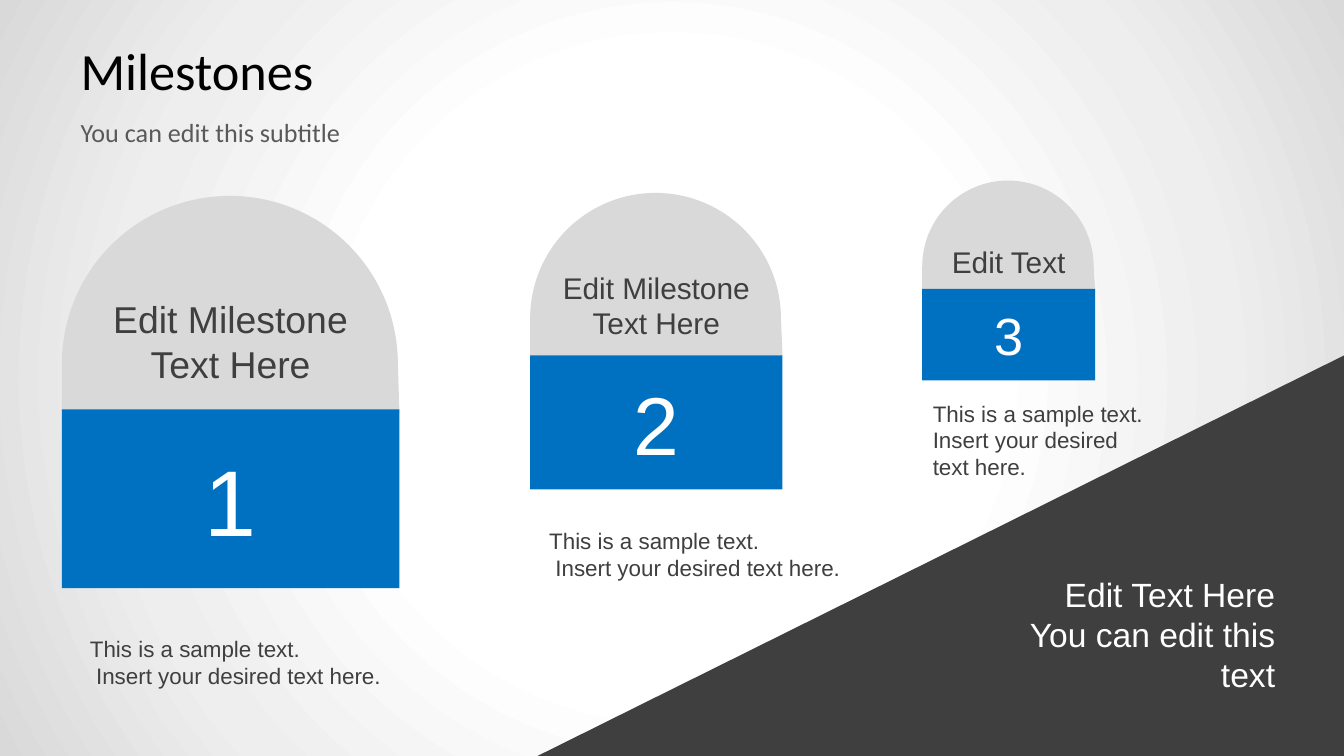
from dataclasses import dataclass
from math import cos, pi, sin, tan

from pptx import Presentation
from pptx.dml.color import RGBColor
from pptx.enum.shapes import MSO_SHAPE
from pptx.enum.text import MSO_ANCHOR, MSO_AUTO_SIZE, PP_ALIGN
from pptx.oxml import parse_xml
from pptx.oxml.ns import nsdecls, qn
from pptx.shapes.autoshape import Shape
from pptx.shapes.shapetree import GroupShapes, SlideShapes
from pptx.slide import Slide
from pptx.text.text import TextFrame
from pptx.util import Cm, Pt

RECTANGLE = MSO_SHAPE.RECTANGLE
TOP, MIDDLE = MSO_ANCHOR.TOP, MSO_ANCHOR.MIDDLE
LEFT, CENTER, RIGHT = PP_ALIGN.LEFT, PP_ALIGN.CENTER, PP_ALIGN.RIGHT
NO_FIT = MSO_AUTO_SIZE.NONE

BLACK = RGBColor(0x00, 0x00, 0x00)
WHITE = RGBColor(0xFF, 0xFF, 0xFF)
DARK = RGBColor(0x3F, 0x3F, 0x3F)
GRAY = RGBColor(0x59, 0x59, 0x59)
SILVER = RGBColor(0xD9, 0xD9, 0xD9)
MIST = RGBColor(0xEE, 0xEE, 0xEE)
BLUE = RGBColor(0x00, 0x70, 0xC0)

WIDTH, HEIGHT = 25.4, 14.29
ARCS = 3
Point = tuple[float, float]


@dataclass
class Box:
    x: float
    y: float
    w: float
    h: float

    def lengths(self) -> tuple[Cm, Cm, Cm, Cm]:
        return Cm(self.x), Cm(self.y), Cm(self.w), Cm(self.h)


@dataclass
class Milestone:
    number: str
    label: str
    arch: Box
    block: Box
    label_inset: float
    number_size: int
    label_size: int
    caption: str
    caption_box: Box


MILESTONES = [
    Milestone("1", "Edit Milestone\vText Here", Box(1.17, 3.56, 6.38, 4.24),
              Box(1.17, 7.74, 6.38, 3.38), 1.78, 50, 20,
              "This is a sample text.\n Insert your desired text here.",
              Box(1.45, 11.88, 7.01, 1.27)),
    Milestone("2", "Edit Milestone Text Here", Box(10.02, 3.54, 4.77, 3.18),
              Box(10.02, 6.72, 4.77, 2.53), 1.52, 44, 16,
              "This is a sample text.\n Insert your desired text here.",
              Box(10.13, 9.84, 7.01, 1.27)),
    Milestone("3", "Edit Text", Box(17.43, 3.34, 3.27, 2.18),
              Box(17.43, 5.46, 3.27, 1.73), 1.27, 28, 16,
              "This is a sample text.\nInsert your desired text here.",
              Box(17.38, 7.43, 4.62, 1.8)),
]


def write(tf: TextFrame, text: str, size: int, color: RGBColor,
          align: PP_ALIGN = LEFT, anchor: MSO_ANCHOR = TOP,
          font: str = "Arial") -> None:
    tf.text = text
    tf.word_wrap = True
    tf.auto_size = NO_FIT
    tf.vertical_anchor = anchor
    for p in tf.paragraphs:
        p.alignment = align
        for r in p.runs:
            r.font.name = font
            r.font.size = Pt(size)
            r.font.color.rgb = color


def set_margins(tf: TextFrame, left: float, top: float, right: float,
                bottom: float) -> None:
    tf.margin_left, tf.margin_right = Cm(left), Cm(right)
    tf.margin_top, tf.margin_bottom = Cm(top), Cm(bottom)


def paint(sp: Shape, color: RGBColor) -> None:
    sp.shadow.inherit = False
    sp.fill.solid()
    sp.fill.fore_color.rgb = color
    sp.line.fill.background()


def add_polygon(shapes: SlideShapes | GroupShapes, points: list[Point],
                color: RGBColor) -> Shape:
    start, *rest = [(Cm(x), Cm(y)) for x, y in points]
    builder = shapes.build_freeform(*start)
    builder.add_line_segments(rest, close=True)
    sp = builder.convert_to_shape()
    paint(sp, color)
    return sp


def arch_points(box: Box) -> list[Point]:
    radius = (box.w - 0.03) / 2
    step = pi / ARCS
    pull = 4 / 3 * tan(step / 4)
    cx = box.x + radius
    cy = box.y + radius * (sin(step) + pull * cos(step))
    base = box.y + box.h
    points = [(box.x, base), (box.x, cy)]
    for i in range(ARCS):
        for angle, slope in ((i * step, pull), ((i + 1) * step, -pull),
                             ((i + 1) * step, 0)):
            points.append((cx - radius * (cos(angle) - slope * sin(angle)),
                           cy - radius * (sin(angle) + slope * cos(angle))))
    return points + [(box.x + box.w, base)]


def curve_arcs(sp: Shape) -> None:
    lines = list(sp.element.iter(qn("a:lnTo")))
    for i in range(1, 1 + 3 * ARCS, 3):
        curve = parse_xml(f'<a:cubicBezTo {nsdecls("a")}/>')
        lines[i].addprevious(curve)
        for line in lines[i:i + 3]:
            curve.append(line[0])
            line.getparent().remove(line)


def add_arch(shapes: GroupShapes, m: Milestone) -> None:
    cx, cy = m.arch.x + m.arch.w / 2, m.arch.y + m.arch.h / 2
    turned = [(cx + cy - y, cy + x - cx) for x, y in arch_points(m.arch)]
    sp = add_polygon(shapes, turned, SILVER)
    curve_arcs(sp)
    sp.rotation = 270
    write(sp.text_frame, m.label, m.label_size, DARK, CENTER, MIDDLE)
    set_margins(sp.text_frame, 0.25, 0.13, m.label_inset, 0.13)
    sp.element.txBody.bodyPr.set("vert", "vert")


def add_milestone(slide: Slide, m: Milestone) -> None:
    shapes = slide.shapes.add_group_shape().shapes
    add_arch(shapes, m)
    sp = shapes.add_shape(RECTANGLE, *m.block.lengths())
    paint(sp, BLUE)
    write(sp.text_frame, m.number, m.number_size, WHITE, CENTER, MIDDLE)
    set_margins(sp.text_frame, 0, 0, 0, 0)


def add_text(slide: Slide, box: Box, text: str, size: int, color: RGBColor,
             align: PP_ALIGN = LEFT) -> None:
    sp = slide.shapes.add_textbox(*box.lengths())
    write(sp.text_frame, text, size, color, align)


def set_background(slide: Slide) -> None:
    stops = "".join(
        f'<a:gs pos="{pos * 1000}"><a:srgbClr val="{color}"/></a:gs>'
        for pos, color in ((41, WHITE), (72, MIST), (100, SILVER)))
    slide.element.cSld.insert(0, parse_xml(
        f'<p:bg {nsdecls("p", "a")}><p:bgPr><a:gradFill rotWithShape="1">'
        f'<a:gsLst>{stops}</a:gsLst><a:path path="circle">'
        '<a:fillToRect l="50000" t="50000" r="50000" b="50000"/></a:path>'
        '</a:gradFill><a:effectLst/></p:bgPr></p:bg>'))


def add_heading(slide: Slide) -> None:
    title, subtitle = slide.shapes.title, slide.placeholders[1]
    for sp, box in ((title, Box(1.27, 0.57, 22.86, 1.5)),
                    (subtitle, Box(1.27, 2.07, 22.86, 1.07))):
        sp.left, sp.top, sp.width, sp.height = box.lengths()
    write(title.text_frame, "Milestones", 28, BLACK, LEFT, MIDDLE, "Calibri")
    write(subtitle.text_frame, "You can edit this subtitle", 14, GRAY,
          font="Calibri")
    pPr = subtitle.text_frame.paragraphs[0]._p.get_or_add_pPr()
    pPr.set("marL", "0")
    pPr.set("indent", "0")
    pPr.append(parse_xml(f'<a:buNone {nsdecls("a")}/>'))


def main() -> None:
    prs = Presentation()
    prs.slide_width, prs.slide_height = Cm(WIDTH), Cm(HEIGHT)
    slide = prs.slides.add_slide(prs.slide_layouts[1])
    set_background(slide)
    add_heading(slide)
    for m in MILESTONES:
        add_milestone(slide, m)
    for m in MILESTONES:
        add_text(slide, m.caption_box, m.caption, 12, DARK)
    add_polygon(slide.shapes,
                [(10.16, HEIGHT), (WIDTH, 6.72), (WIDTH, HEIGHT)], DARK)
    add_text(slide, Box(18.84, 10.72, 5.51, 2.57),
             "Edit Text Here\nYou can edit this text", 18, WHITE, RIGHT)
    prs.save("out.pptx")


if __name__ == "__main__":
    main()
